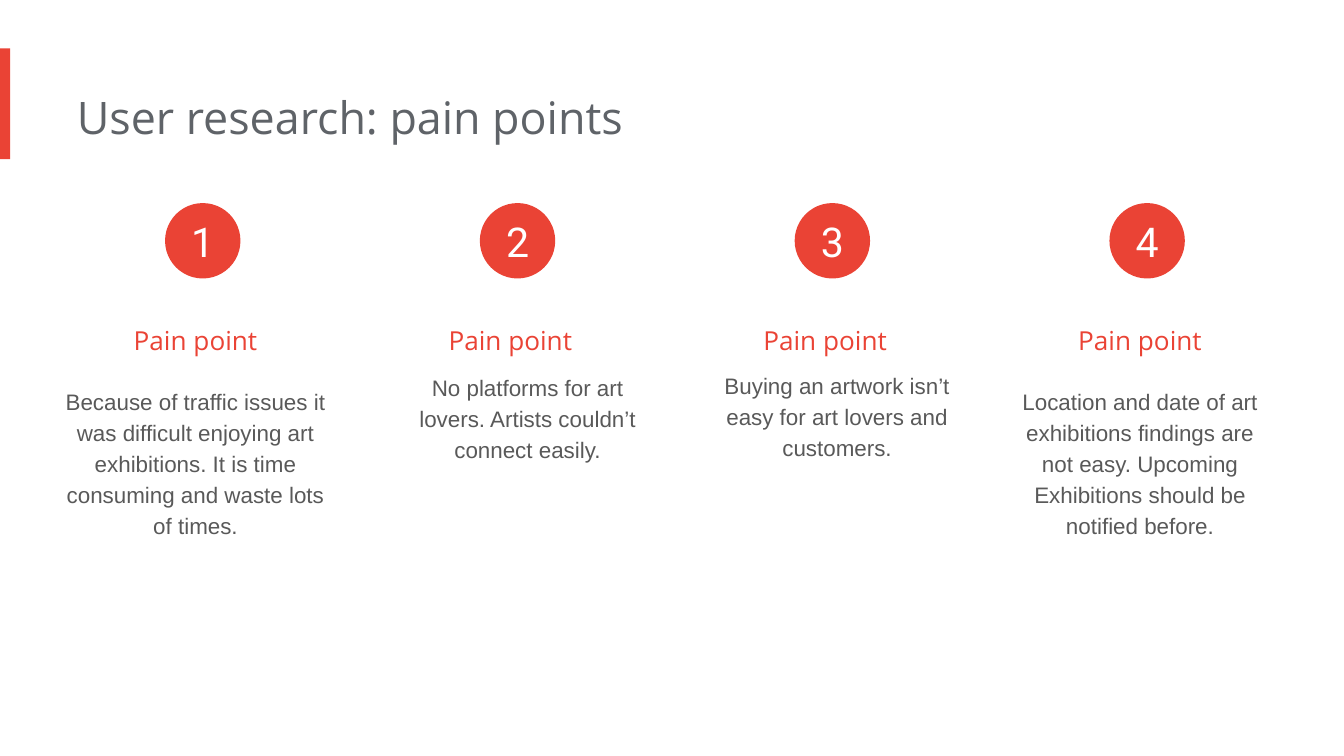
"""Build the slide that lists four user research pain points."""
from dataclasses import dataclass

from pptx import Presentation
from pptx.dml.color import RGBColor
from pptx.enum.shapes import MSO_SHAPE
from pptx.enum.text import MSO_ANCHOR, MSO_AUTO_SIZE, PP_ALIGN
from pptx.shapes.autoshape import Shape
from pptx.slide import Slide
from pptx.util import Pt

RECTANGLE = MSO_SHAPE.RECTANGLE
OVAL = MSO_SHAPE.OVAL
MIDDLE = MSO_ANCHOR.MIDDLE
TOP = MSO_ANCHOR.TOP
GROW = MSO_AUTO_SIZE.SHAPE_TO_FIT_TEXT
FIXED = MSO_AUTO_SIZE.NONE
LEFT = PP_ALIGN.LEFT
CENTER = PP_ALIGN.CENTER


@dataclass(frozen=True)
class Theme:
    """Colours, fonts and type sizes."""

    accent: str = "EA4335"
    title: str = "5F6368"
    body: str = "595959"
    white: str = "FFFFFF"
    heading_font: str = "Open Sans"
    body_font: str = "Arial"
    number_font: str = "Roboto"
    title_size: float = 24
    number_size: float = 22
    heading_size: float = 14
    body_size: float = 12


@dataclass(frozen=True)
class Frame:
    """A position and size in points."""

    left: float
    top: float
    width: float
    height: float

    def lengths(self) -> tuple[Pt, ...]:
        """Return the frame as lengths."""
        return tuple(Pt(v) for v in (self.left, self.top, self.width, self.height))


@dataclass(frozen=True)
class PainPoint:
    """A pain point and the place of its description."""

    text: str
    left: float
    top: float
    height: float


THEME = Theme()
COLUMN_LEFT = 34.5
COLUMN_PITCH = 168.65
COLUMN_WIDTH = 147.6
CIRCLE_INSET = 53.9
CIRCLE_SIZE = 40.4
PAIN_POINTS = (
    PainPoint("Because of traffic issues it was difficult enjoying art exhibitions. "
              "It is time consuming and waste lots of times.", 34.5, 198.7, 98),
    PainPoint("No platforms for art lovers. Artists couldn’t connect easily.",
              212.4, 191.3, 65),
    PainPoint("Buying an artwork isn’t easy for art lovers and customers.",
              378.2, 190.2, 65),
    PainPoint("Location and date of art exhibitions findings are not easy. "
              "Upcoming Exhibitions should be notified before.", 540.5, 198.7, 98),
)


def write(box: Shape, text: str, *, font: str, size: float, color: str,
          align: PP_ALIGN = CENTER, spacing: float = 1.0,
          insets: tuple[float, float, float, float] = (0, 7.2, 7.2, 7.2),
          anchor: MSO_ANCHOR = TOP, fit: MSO_AUTO_SIZE = GROW) -> None:
    """Put one formatted paragraph into a box."""
    frame = box.text_frame
    frame.word_wrap = True
    frame.auto_size = fit
    frame.vertical_anchor = anchor
    (frame.margin_left, frame.margin_top,
     frame.margin_right, frame.margin_bottom) = (Pt(inset) for inset in insets)
    para = frame.paragraphs[0]
    para.alignment = align
    para.line_spacing = spacing
    span = para.add_run()
    span.text = text
    span.font.name = font
    span.font.size = Pt(size)
    span.font.color.rgb = RGBColor.from_string(color)


def add_accent(page: Slide, kind: MSO_SHAPE, frame: Frame) -> Shape:
    """Add a flat shape in the accent colour."""
    shape = page.shapes.add_shape(kind, *frame.lengths())
    shape.shadow.inherit = False
    shape.fill.solid()
    shape.fill.fore_color.rgb = RGBColor.from_string(THEME.accent)
    shape.line.fill.background()
    return shape


def add_text(page: Slide, frame: Frame, text: str, **style) -> None:
    """Add a text box with one formatted paragraph."""
    write(page.shapes.add_textbox(*frame.lengths()), text, **style)


def add_pain_point(page: Slide, index: int, point: PainPoint) -> None:
    """Draw one numbered column."""
    left = COLUMN_LEFT + index * COLUMN_PITCH
    circle = add_accent(page, OVAL, Frame(left + CIRCLE_INSET, 108.8, CIRCLE_SIZE, CIRCLE_SIZE))
    write(circle, str(index + 1), font=THEME.number_font, size=THEME.number_size,
          color=THEME.white, insets=(0, 0, 0, 0), anchor=MIDDLE, fit=FIXED)
    add_text(page, Frame(left, 158.4, COLUMN_WIDTH, 31.7), "Pain point",
             font=THEME.heading_font, size=THEME.heading_size,
             color=THEME.accent, spacing=1.5)
    add_text(page, Frame(point.left, point.top, COLUMN_WIDTH, point.height), point.text,
             font=THEME.body_font, size=THEME.body_size, color=THEME.body, spacing=1.15)


def main() -> None:
    """Build and save the deck."""
    deck = Presentation()
    deck.slide_width, deck.slide_height = Pt(720), Pt(405)
    page = deck.slides.add_slide(deck.slide_layouts[6])
    add_accent(page, RECTANGLE, Frame(0, 26, 5.5, 59.3))
    add_text(page, Frame(41.2, 41, 484.6, 44), "User research: pain points",
             font=THEME.heading_font, size=THEME.title_size,
             color=THEME.title, align=LEFT)
    for index, point in enumerate(PAIN_POINTS):
        add_pain_point(page, index, point)
    deck.save("out.pptx")


if __name__ == "__main__":
    main()
